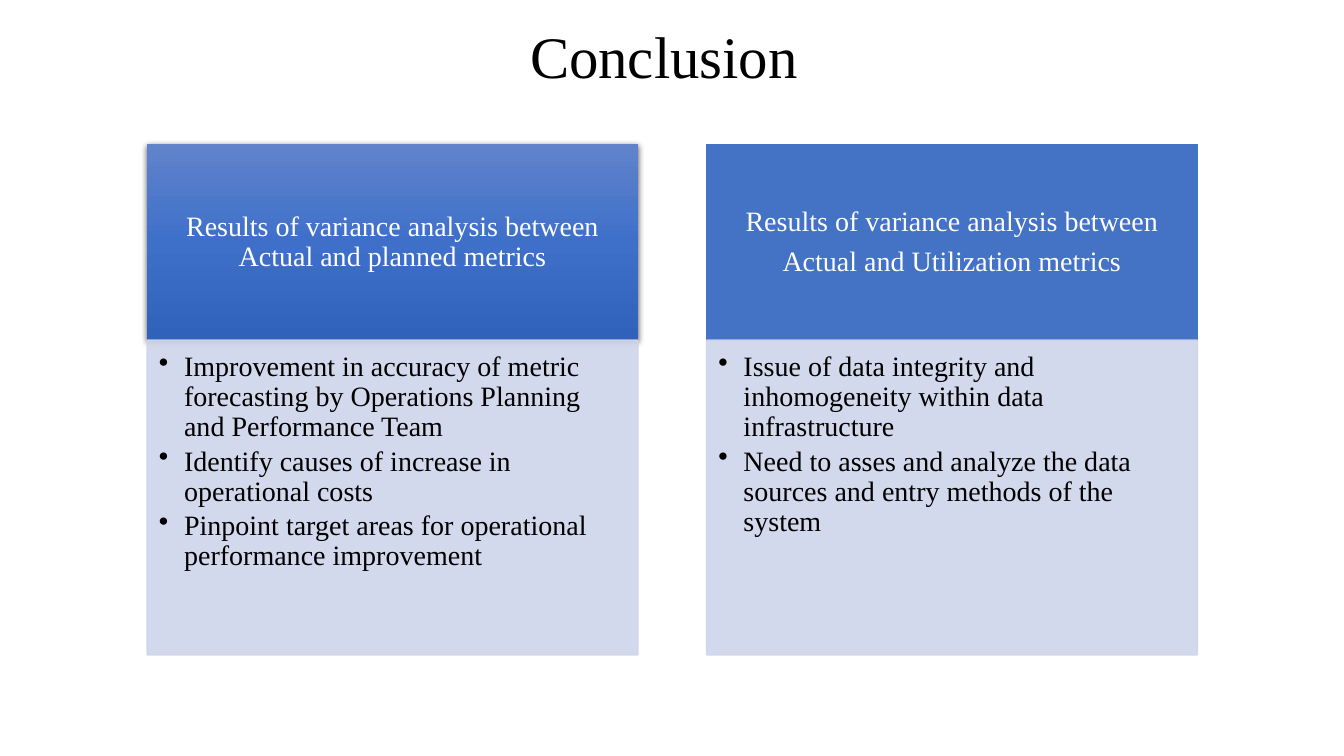
"""Build the conclusion slide with two headed result panels."""
import lxml.etree
import pptx
import pptx.dml.color
import pptx.enum.shapes
import pptx.enum.text
import pptx.oxml
import pptx.oxml.ns
import pptx.util

Pt = pptx.util.Pt
RGBColor = pptx.dml.color.RGBColor
ALIGN = pptx.enum.text.PP_ALIGN
ANCHOR = pptx.enum.text.MSO_ANCHOR
qn = pptx.oxml.ns.qn

TITLE = "Conclusion"
PANELS = [
    {
        "header": ["Results of variance analysis between Actual and planned metrics"],
        "points": [
            "Improvement in accuracy of metric forecasting by Operations Planning and Performance Team",
            "Identify causes of increase in operational costs",
            "Pinpoint target areas for operational performance improvement",
        ],
        "raised": True,
    },
    {
        "header": ["Results of variance analysis between", "Actual and Utilization metrics"],
        "points": [
            "Issue of data integrity and inhomogeneity within data infrastructure",
            "Need to asses and analyze the data sources and entry methods of the system",
        ],
        "raised": False,
    },
]

BLACK = RGBColor(0x00, 0x00, 0x00)
WHITE = RGBColor(0xFF, 0xFF, 0xFF)
BLUE = RGBColor(0x44, 0x72, 0xC4)
PALE_BLUE = RGBColor(0xCF, 0xD5, 0xEA)
GRADIENT = [
    (0, RGBColor(0x61, 0x83, 0xCB)),
    (50, RGBColor(0x3E, 0x70, 0xCA)),
    (100, RGBColor(0x30, 0x62, 0xBB)),
]

FONT = "Times New Roman"
PANEL_LEFT, PANEL_TOP, PANEL_WIDTH, PANEL_STEP = 105.1, 103, 350.6, 399.6
HEADER_HEIGHT, BODY_HEIGHT = 140, 224.8
BULLET_INDENT = 18

TITLE_FRAME = {
    "word_wrap": True,
    "auto_size": pptx.enum.text.MSO_AUTO_SIZE.NONE,
    "vertical_anchor": ANCHOR.TOP,
}
HEADER_FRAME = {
    "word_wrap": True, "vertical_anchor": ANCHOR.MIDDLE,
    "margin_left": Pt(11.2), "margin_right": Pt(11.2),
    "margin_top": Pt(6.4), "margin_bottom": Pt(6.4),
}
BODY_FRAME = {
    "word_wrap": True, "vertical_anchor": ANCHOR.TOP,
    "margin_left": Pt(8.4), "margin_right": Pt(11.2),
    "margin_top": Pt(8.4), "margin_bottom": Pt(12.6),
}
TITLE_PARAGRAPH = {"alignment": ALIGN.CENTER}
HEADER_PARAGRAPH = {"alignment": ALIGN.CENTER, "line_spacing": 0.9, "space_after": Pt(7)}
BODY_PARAGRAPH = {"alignment": ALIGN.LEFT, "line_spacing": 0.9, "space_after": Pt(3)}


def apply(target, values):
    for name, value in values.items():
        setattr(target, name, value)


def write(shape, lines, size, color, frame_format, paragraph_format):
    frame = shape.text_frame
    apply(frame, frame_format)
    frame.text = "\n".join(lines)
    for paragraph in frame.paragraphs:
        apply(paragraph, paragraph_format)
        apply(paragraph.font, {"name": FONT, "size": Pt(size)})
        paragraph.font.color.rgb = color


def add_box(slide, left, top, height, color):
    shape = slide.shapes.add_shape(
        pptx.enum.shapes.MSO_SHAPE.RECTANGLE, Pt(left), Pt(top), Pt(PANEL_WIDTH), Pt(height)
    )
    shape.shadow.inherit = False
    shape.fill.solid()
    shape.fill.fore_color.rgb = color
    shape.line.color.rgb = color
    shape.line.width = Pt(1)
    return shape


def raise_box(shape):
    shape.line.fill.background()
    shape.fill.gradient()
    properties = shape.fill._xPr
    gradient = properties.find(qn("a:gradFill"))
    stops = "".join(
        f'<a:gs pos="{position * 1000}"><a:srgbClr val="{color}"/></a:gs>'
        for position, color in GRADIENT
    )
    namespace = pptx.oxml.ns.nsdecls("a")
    properties.replace(gradient, pptx.oxml.parse_xml(
        f'<a:gradFill {namespace} rotWithShape="1"><a:gsLst>{stops}</a:gsLst>'
        '<a:lin ang="5400000" scaled="0"/></a:gradFill>'
    ))
    properties.find(qn("a:effectLst")).append(pptx.oxml.parse_xml(
        f'<a:outerShdw {namespace} blurRad="{Pt(4.5)}" dist="{Pt(1.5)}" dir="5400000" '
        'algn="ctr" rotWithShape="0"><a:srgbClr val="000000"><a:alpha val="63000"/>'
        '</a:srgbClr></a:outerShdw>'
    ))


def soften(shape):
    for color in shape.fill._xPr.iter(qn("a:srgbClr")):
        lxml.etree.SubElement(color, qn("a:alpha")).set("val", "90000")


def add_bullets(shape):
    for paragraph in shape.text_frame.paragraphs:
        properties = paragraph._p.get_or_add_pPr()
        properties.set("marL", str(Pt(BULLET_INDENT)))
        properties.set("indent", str(-Pt(BULLET_INDENT)))
        bullet = pptx.oxml.parse_xml(f'<a:buChar {pptx.oxml.ns.nsdecls("a")} char="•"/>')
        properties.insert_element_before(bullet, "a:tabLst", "a:defRPr", "a:extLst")


def add_panel(slide, left, panel):
    header = add_box(slide, left, PANEL_TOP, HEADER_HEIGHT, BLUE)
    if panel["raised"]:
        raise_box(header)
    write(header, panel["header"], 20, WHITE, HEADER_FRAME, HEADER_PARAGRAPH)

    body = add_box(slide, left, PANEL_TOP + HEADER_HEIGHT, BODY_HEIGHT, PALE_BLUE)
    soften(body)
    write(body, panel["points"], 20, BLACK, BODY_FRAME, BODY_PARAGRAPH)
    add_bullets(body)


def main():
    presentation = pptx.Presentation()
    apply(presentation, {"slide_width": Pt(960), "slide_height": Pt(540)})
    slide = presentation.slides.add_slide(presentation.slide_layouts.get_by_name("Title Only"))
    title = slide.shapes.title
    apply(title, {"left": Pt(137), "top": Pt(10.8), "width": Pt(674.6), "height": Pt(58.3)})
    write(title, [TITLE], 42, BLACK, TITLE_FRAME, TITLE_PARAGRAPH)
    for index, panel in enumerate(PANELS):
        add_panel(slide, PANEL_LEFT + index * PANEL_STEP, panel)
    presentation.save("out.pptx")


if __name__ == "__main__":
    main()
